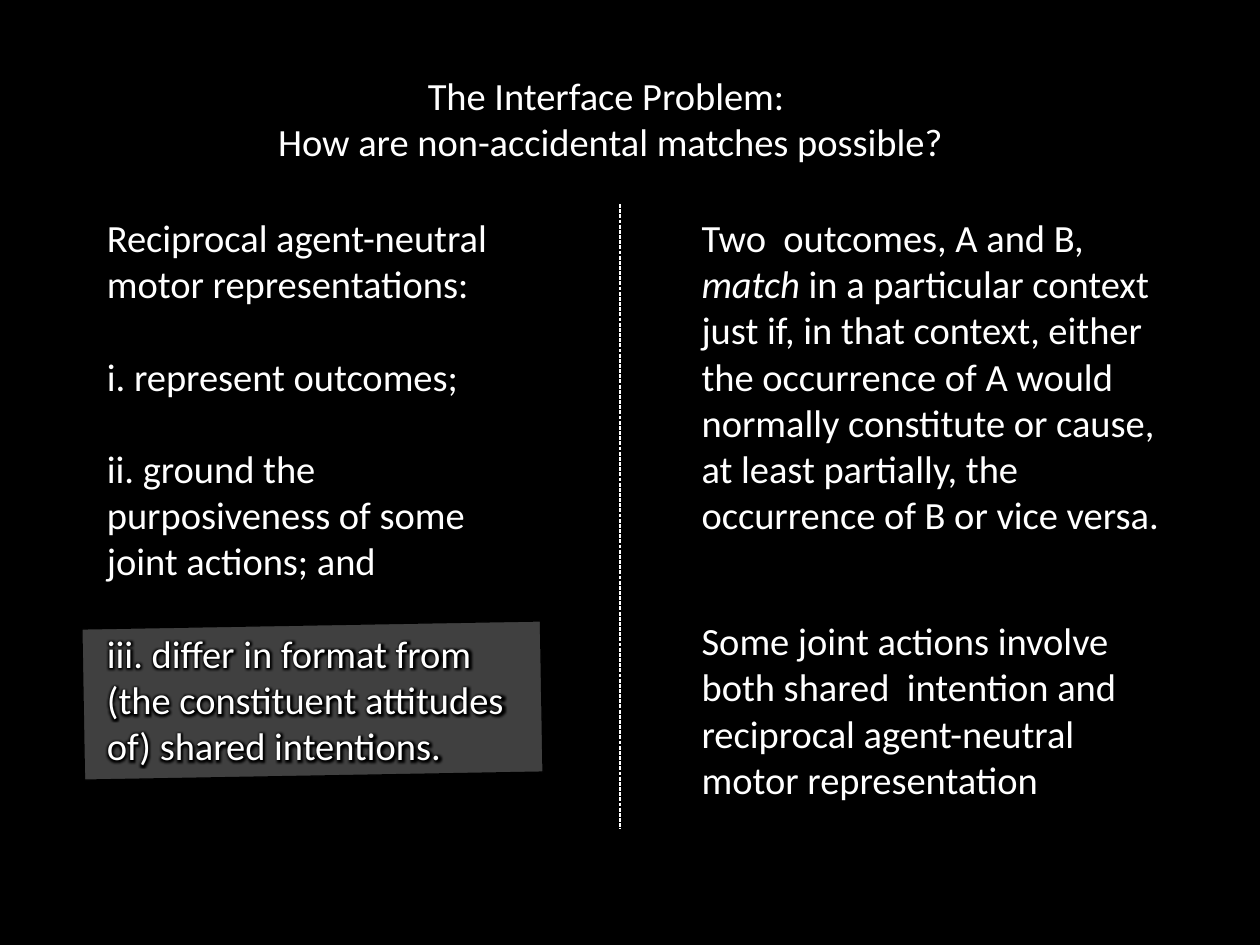
from dataclasses import dataclass

from lxml.etree import SubElement
from pptx import Presentation
from pptx.dml.color import RGBColor
from pptx.enum.dml import MSO_LINE
from pptx.enum.shapes import MSO_CONNECTOR, MSO_SHAPE
from pptx.enum.text import MSO_ANCHOR, MSO_AUTO_SIZE, PP_ALIGN
from pptx.oxml.ns import qn
from pptx.util import Inches, Pt


@dataclass(frozen=True)
class Theme:
    background: RGBColor = RGBColor(0, 0, 0)
    ink: RGBColor = RGBColor(255, 255, 255)
    highlight: RGBColor = RGBColor(64, 64, 64)
    font: str = "Calibri"
    size: float = 22
    gap: float = 26.4
    rule: float = 0.75
    glow: float = 5


THEME = Theme()
WIDTH, HEIGHT = 10, 7.5
LEFT_COLUMN, RIGHT_COLUMN, COLUMN_TOP = 0.75, 5.47, 1.65

HEADING = [("The Interface Problem: ", 0), ("How are non-accidental matches possible?", 0)]
CLAIMS = [
    ("Reciprocal agent-neutral motor representations:", 1),
    ("i. represent outcomes;", 1),
    ("ii. ground the purposiveness of some", 0),
    ("joint actions; and", 1),
    ("iii. differ in format from (the constituent attitudes of) shared intentions.", 0),
]
MATCHING = [(
    "Two  outcomes, A and B, *match* in a particular context just if, in that context, "
    "either the occurrence of A would normally constitute or cause, at least partially, "
    "the occurrence of B or vice versa.", 0)]
INVOLVEMENT = [(
    "Some joint actions involve both shared  intention and reciprocal agent-neutral "
    "motor representation", 0)]


def write(frame, lines, align=PP_ALIGN.LEFT):
    frame.word_wrap = True
    frame.auto_size = MSO_AUTO_SIZE.NONE
    frame.vertical_anchor = MSO_ANCHOR.TOP
    for index, (wording, gaps_after) in enumerate(lines):
        paragraph = frame.add_paragraph() if index else frame.paragraphs[0]
        paragraph.alignment = align
        paragraph.space_after = Pt(gaps_after * THEME.gap)
        paragraph.font.size = Pt(THEME.size)
        paragraph.font.name = THEME.font
        paragraph.font.color.rgb = THEME.ink
        for part, phrase in enumerate(wording.split("*")):
            run = paragraph.add_run()
            run.text = phrase
            if part % 2:
                run.font.italic = True


def add_text(slide, lines, left, top, width, height):
    box = slide.shapes.add_textbox(Inches(left), Inches(top), Inches(width), Inches(height))
    write(box.text_frame, lines)
    return box.text_frame


def add_glow(frame):
    for paragraph in frame.paragraphs:
        for run in paragraph.runs:
            effects = SubElement(run._r.get_or_add_rPr(), qn("a:effectLst"))
            glow = SubElement(effects, qn("a:glow"), rad=str(Pt(THEME.glow)))
            SubElement(glow, qn("a:srgbClr"), val=str(THEME.background))


def main():
    deck = Presentation()
    deck.slide_width, deck.slide_height = Inches(WIDTH), Inches(HEIGHT)
    slide = deck.slides.add_slide(deck.slide_layouts[5])
    slide.background.fill.solid()
    slide.background.fill.fore_color.rgb = THEME.background

    highlight = slide.shapes.add_shape(
        MSO_SHAPE.RECTANGLE, Inches(0.66), Inches(4.96), Inches(3.64), Inches(1.2))
    highlight.rotation = 359
    highlight.shadow.inherit = False
    highlight.fill.solid()
    highlight.fill.fore_color.rgb = THEME.highlight
    highlight.line.color.rgb = THEME.background
    highlight.line.width = Pt(THEME.rule)

    heading = slide.shapes.title
    heading.left, heading.top = Inches(0.91), Inches(0.52)
    heading.width, heading.height = Inches(7.87), Inches(1.21)
    write(heading.text_frame, HEADING, PP_ALIGN.CENTER)

    claims = add_text(slide, CLAIMS, LEFT_COLUMN, COLUMN_TOP, 3.62, 4.54)
    add_glow(claims)
    add_text(slide, MATCHING, RIGHT_COLUMN, COLUMN_TOP, 4, 2.69)
    add_text(slide, INVOLVEMENT, RIGHT_COLUMN, 4.85, 3.92, 1.58)

    divider = slide.shapes.add_connector(
        MSO_CONNECTOR.STRAIGHT, Inches(4.92), Inches(1.62), Inches(4.92), Inches(6.58))
    divider.line.color.rgb = THEME.ink
    divider.line.width = Pt(THEME.rule)
    divider.line.dash_style = MSO_LINE.SQUARE_DOT
    SubElement(divider._element.spPr, qn("a:effectLst"))

    deck.save("out.pptx")


if __name__ == "__main__":
    main()
